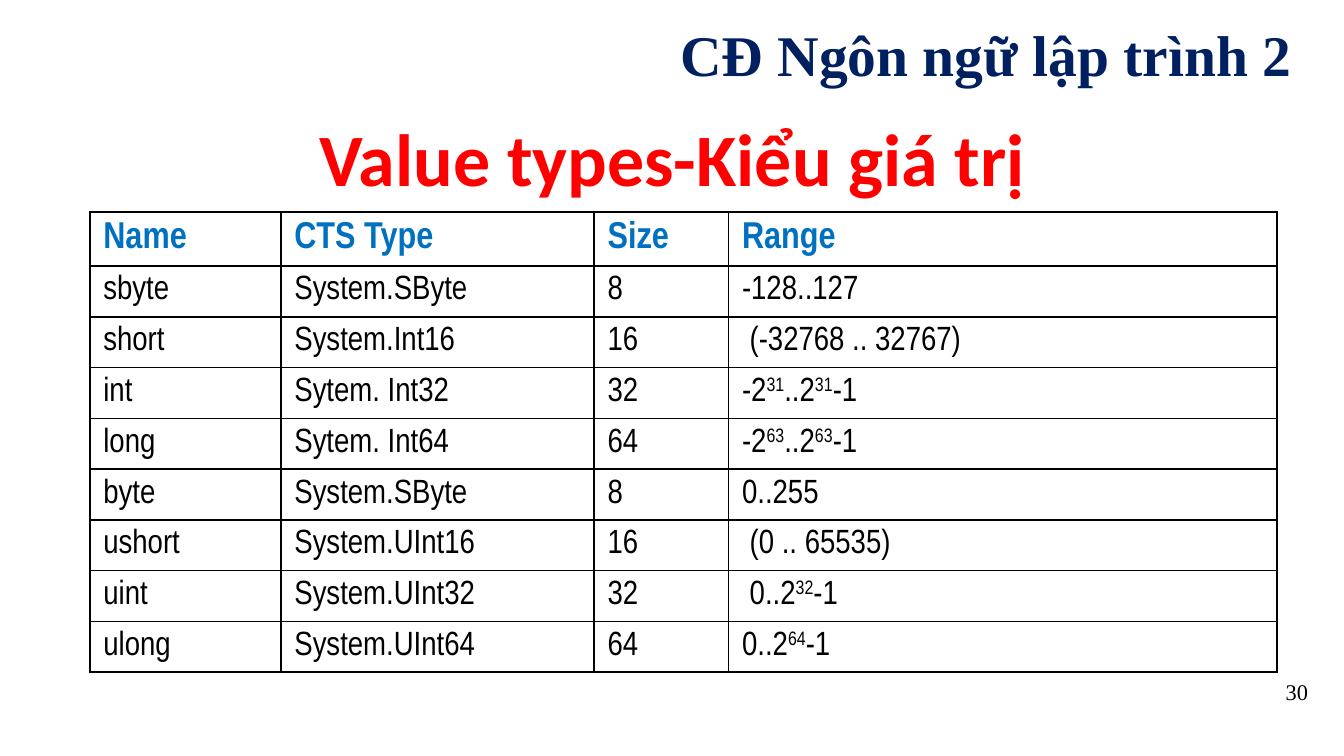
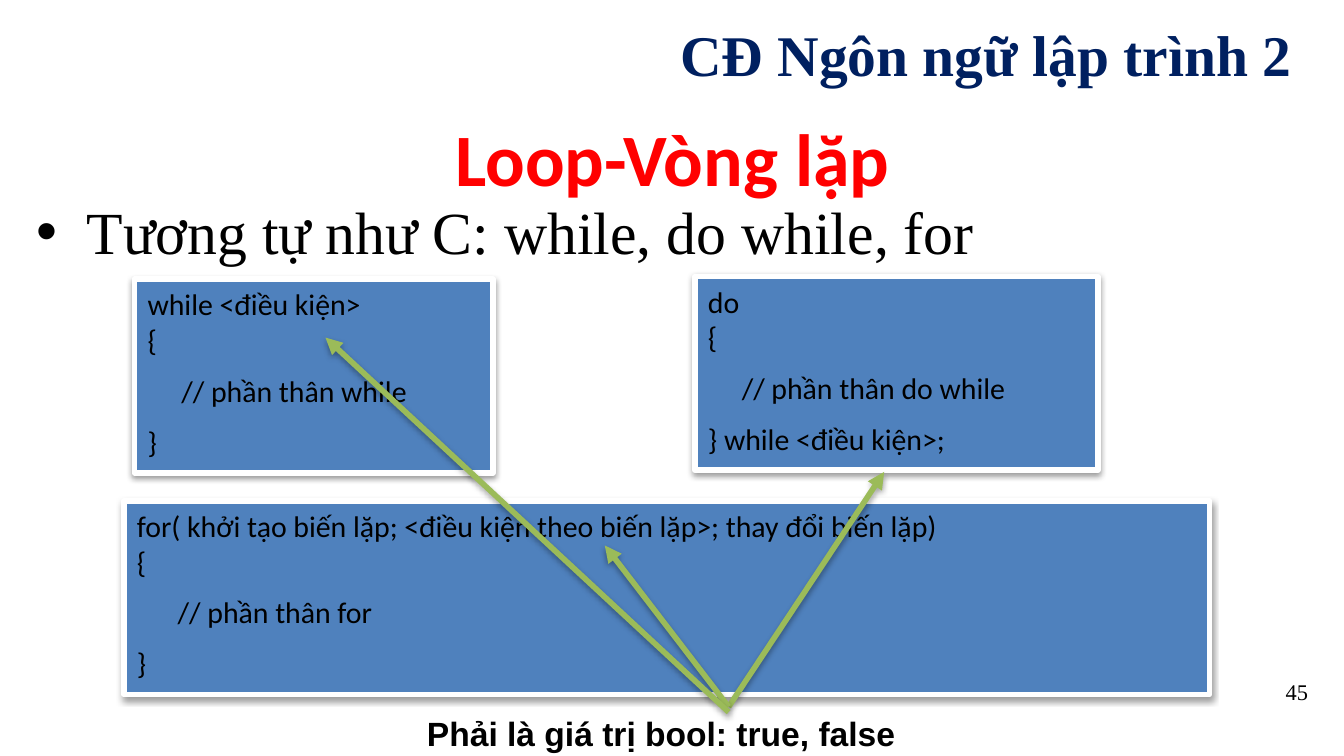
from copy import deepcopy

from lxml import etree
from pptx import Presentation
from pptx.dml.color import RGBColor
from pptx.enum.shapes import MSO_CONNECTOR as Line, MSO_SHAPE as Shape
from pptx.enum.text import MSO_ANCHOR as Anchor, MSO_AUTO_SIZE as Fit, PP_ALIGN as Align
from pptx.oxml.ns import qn
from pptx.util import Cm, Pt

NAVY, RED, BLUE, BLACK = "002060", "FF0000", "0070C0", "000000"
WHITE, STEEL, GREEN = "FFFFFF", "4F81BD", "9BBB59"
SERIF, SANS, NARROW = "Times New Roman", "Calibri", "Arial Narrow"

HEADER = "CĐ Ngôn ngữ lập trình 2"
HEAD_AT = (12.5, 0.3, 12.27, 1.42)
TITLE_AT = (0.43, 2.13, 24.56, 1.68)
NUMBER_AT = (19.05, 12.7, 5.92, 0.76)

# Text between carets is raised.
TYPES = [
    ("Name", "CTS Type", "Size", "Range"),
    ("sbyte", "System.SByte", "8", "-128..127"),
    ("short", "System.Int16", "16", " (-32768 .. 32767)"),
    ("int", "Sytem. Int32", "32", "-2^31^..2^31^-1"),
    ("long", "Sytem. Int64", "64", "-2^63^..2^63^-1"),
    ("byte", "System.SByte", "8", "0..255"),
    ("ushort", "System.UInt16", "16", " (0 .. 65535)"),
    ("uint", "System.UInt32", "32", " 0..2^32^-1"),
    ("ulong", "System.UInt64", "64", "0..2^64^-1"),
]
TABLE_AT = (1.7, 4.01)
COLS = (3.61, 5.92, 2.54, 10.36)
HEAD_ROW, ROW = 1, 0.96

LEAD = "Tương tự như C: while, do while, for"
LEAD_AT = (0.43, 3.55, 24.56, 8.89)

# Place, indent of the body line, paragraphs
LOOPS = [
    ((2.54, 5.28, 6.78, 3.66), 0.64,
     ("while <điều kiện>\n{", "// phần thân while", "}")),
    ((13.13, 5.23, 7.62, 3.66), 0.64,
     ("do\n{", "// phần thân do while", "} while <điều kiện>;")),
    ((2.34, 9.47, 20.52, 3.66), 0.77,
     ("for( khởi tạo biến lặp; <điều kiện theo biến lặp>; thay đổi biến lặp)\n{",
      "// phần thân for", "}")),
]
NOTE = "Phải là giá trị bool: true, false"
NOTE_AT = (7.82, 13.36, 9.73, 1.02)
ARROWS = [
    ((16.71, 8.92), (13.77, 13.36)),
    ((11.43, 10.31), (13.77, 13.36)),
    ((6.15, 6.38), (13.77, 13.46)),
]


def rgb(code):
    return RGBColor.from_string(code)


def cms(nums):
    return [Cm(n) for n in nums]


def sub(node, tag, **attrs):
    return etree.SubElement(node, qn(tag), attrs)


def style(para, font, size, color, bold=False, align=None):
    para.alignment = align
    for run in para.runs:
        run.font.name, run.font.size, run.font.bold = font, Pt(size), bold
        run.font.color.rgb = rgb(color)
    for gap in para._p.findall(qn("a:br")):
        gap.insert(0, deepcopy(para.runs[0]._r.rPr))


def space(para, share):
    """Set the space before as a percentage of the line."""
    para.space_before = Pt(0)
    node = para._p.pPr.find(qn("a:spcBef"))
    node.clear()
    sub(node, "a:spcPct", val=str(share * 1000))


def shade(shape, alpha, dist):
    effects = sub(shape._element.spPr, "a:effectLst")
    outer = sub(effects, "a:outerShdw", blurRad="40000", dist=str(dist),
                dir="5400000", rotWithShape="0")
    sub(sub(outer, "a:srgbClr", val=BLACK), "a:alpha", val=str(alpha * 1000))


def label(slide, place, text, *look, anchor=Anchor.MIDDLE):
    box = slide.shapes.add_textbox(*cms(place))
    frame = box.text_frame
    frame.word_wrap, frame.vertical_anchor = True, anchor
    frame.text = text
    style(frame.paragraphs[0], *look)
    return box


def start(prs, layout, title, number):
    slide = prs.slides.add_slide(prs.slide_layouts[layout])
    head = slide.shapes.title
    head.left, head.top, head.width, head.height = cms(TITLE_AT)
    frame = head.text_frame
    frame.auto_size, frame.vertical_anchor = Fit.NONE, Anchor.MIDDLE
    frame.text = title
    style(frame.paragraphs[0], SANS, 39.6, RED, True, Align.CENTER)
    label(slide, NUMBER_AT, number, SERIF, 12, BLACK, False, Align.RIGHT)
    return slide


def brand(prs, slide):
    """Put the course name on the master, so every slide shows it."""
    box = label(slide, HEAD_AT, HEADER, SERIF, 30.8, NAVY, True, Align.CENTER)
    prs.slide_master.shapes._spTree.append(box._element)


def write(cell, text, top):
    cell.vertical_anchor = Anchor.MIDDLE
    para = cell.text_frame.paragraphs[0]
    para.line_spacing = 0.9
    space(para, 30)
    for n, part in enumerate(text.split("^")):
        run = para.add_run()
        run.text = part
        if n % 2:
            run.font._element.set("baseline", "30000")
    style(para, NARROW, 20 if top else 18, BLUE if top else BLACK, top)
    props = cell._tc.get_or_add_tcPr()
    for side in "LRTB":
        edge = sub(props, f"a:ln{side}", w="12700")
        sub(sub(edge, "a:solidFill"), "a:srgbClr", val=BLACK)
    cell.fill.background()


def grid(slide):
    tall = HEAD_ROW + ROW * (len(TYPES) - 1)
    place = cms((*TABLE_AT, sum(COLS), tall))
    table = slide.shapes.add_table(len(TYPES), len(COLS), *place).table
    table.first_row = table.horz_banding = False
    for col, wide in zip(table.columns, COLS):
        col.width = Cm(wide)
    for r, texts in enumerate(TYPES):
        table.rows[r].height = Cm(ROW if r else HEAD_ROW)
        for c, text in enumerate(texts):
            write(table.cell(r, c), text, r == 0)


def lead(slide):
    body = slide.placeholders[1]
    body.left, body.top, body.width, body.height = cms(LEAD_AT)
    frame = body.text_frame
    frame.auto_size = Fit.NONE
    frame.text = LEAD
    para = frame.paragraphs[0]
    style(para, SERIF, 32, BLACK, False, Align.JUSTIFY)
    para.space_before = para.space_after = Pt(2)
    props = para._p.pPr
    props.set("marL", str(Cm(0.96)))
    props.set("indent", str(-Cm(0.96)))
    sub(props, "a:buFont", typeface="Arial")
    sub(props, "a:buChar", char="•")


def loop(slide, place, indent, texts):
    box = slide.shapes.add_shape(Shape.RECTANGLE, *cms(place))
    box.fill.solid()
    box.fill.fore_color.rgb = rgb(STEEL)
    box.line.color.rgb, box.line.width = rgb(WHITE), Pt(3)
    shade(box, 38, 20000)
    frame = box.text_frame
    frame.word_wrap, frame.vertical_anchor = True, Anchor.TOP
    frame.auto_size = Fit.SHAPE_TO_FIT_TEXT
    for n, text in enumerate(texts):
        para = frame.add_paragraph() if n else frame.paragraphs[0]
        para.text = text
        style(para, SANS, 16, BLACK, False, Align.LEFT)
        space(para, 50)
        if n == 1:
            para._p.pPr.set("marL", str(Cm(indent)))


def arrow(slide, tip, tail):
    line = slide.shapes.add_connector(Line.STRAIGHT, *cms(tip + tail))
    line.line.color.rgb, line.line.width = rgb(GREEN), Pt(3)
    sub(line.line._get_or_add_ln(), "a:headEnd", type="triangle")
    shade(line, 35, 23000)


def main():
    prs = Presentation()
    prs.slide_width, prs.slide_height = Cm(25.4), Cm(14.29)

    slide = start(prs, 5, "Value types-Kiểu giá trị", "30")
    brand(prs, slide)
    grid(slide)

    slide = start(prs, 1, "Loop-Vòng lặp", "45")
    lead(slide)
    for item in LOOPS:
        loop(slide, *item)
    note = label(slide, NOTE_AT, NOTE, "Arial", 18, BLACK, True, anchor=Anchor.TOP)
    note.text_frame.auto_size = Fit.SHAPE_TO_FIT_TEXT
    space(note.text_frame.paragraphs[0], 50)
    for ends in ARROWS:
        arrow(slide, *ends)
    prs.save("out.pptx")


if __name__ == "__main__":
    main()
